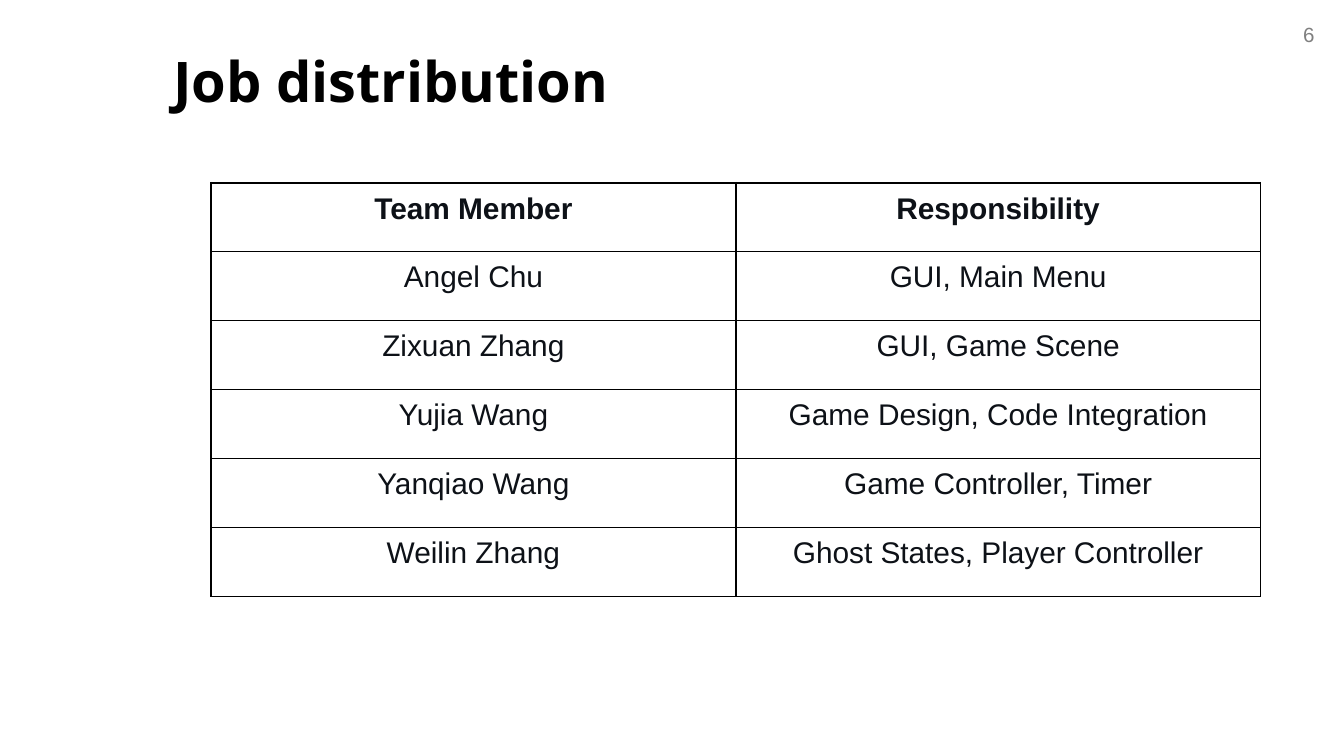
from typing import NamedTuple

from lxml.etree import SubElement
from pptx import Presentation
from pptx.dml.color import RGBColor
from pptx.enum.text import MSO_ANCHOR, PP_ALIGN
from pptx.oxml.ns import qn
from pptx.util import Inches, Pt

COLORS = {"black": "000000", "ink": "0D1117", "gray": "7F7F7F"}


class Style(NamedTuple):
    font: str
    size: float
    color: str
    bold: bool = False
    align: PP_ALIGN = PP_ALIGN.LEFT


class Label(NamedTuple):
    text: str
    left: float
    top: float
    width: float
    height: float
    margin_y: float
    style: Style


class Job(NamedTuple):
    member: str
    responsibility: str


LABELS = [
    Label("6", 9.33, 0.11, 0.55, 0.29, 0.05,
          Style("Arial", 11, "gray", align=PP_ALIGN.RIGHT)),
    Label("Job distribution", 1.19, 0.24, 5.71, 0.71, 0.1,
          Style("Open Sans", 30, "black", bold=True)),
]
JOBS = [
    Job("Team Member", "Responsibility"),
    Job("Angel Chu", "GUI, Main Menu"),
    Job("Zixuan Zhang", "GUI, Game Scene"),
    Job("Yujia Wang", "Game Design, Code Integration"),
    Job("Yanqiao Wang", "Game Controller, Timer"),
    Job("Weilin Zhang", "Ghost States, Player Controller"),
]
BODY = Style("Arial", 16, "ink", align=PP_ALIGN.CENTER)
HEADER = BODY._replace(bold=True)
TABLE_W, TABLE_H, CELL_MARGIN = 7.81, 3.08, 0.07


def set_text(tf, text: str, style: Style) -> None:
    tf.text = text
    p = tf.paragraphs[0]
    p.alignment = style.align
    for r in p.runs:
        r.font.name = style.font
        r.font.size = Pt(style.size)
        r.font.bold = style.bold
        r.font.color.rgb = RGBColor.from_string(COLORS[style.color])


def add_label(s, label: Label) -> None:
    box = s.shapes.add_textbox(Inches(label.left), Inches(label.top),
                               Inches(label.width), Inches(label.height))
    tf = box.text_frame
    tf.word_wrap = True
    tf.vertical_anchor = MSO_ANCHOR.MIDDLE
    tf.margin_left = tf.margin_right = Inches(0.1)
    tf.margin_top = tf.margin_bottom = Inches(label.margin_y)
    set_text(tf, label.text, label.style)


def add_borders(cell) -> None:
    tc_pr = cell._tc.get_or_add_tcPr()
    for side in ("lnL", "lnR", "lnT", "lnB"):
        ln = SubElement(tc_pr, qn(f"a:{side}"), w=str(Pt(1)))
        fill = SubElement(ln, qn("a:solidFill"))
        SubElement(fill, qn("a:srgbClr"), val=COLORS["black"])


def add_job_table(s, jobs: list[Job]) -> None:
    """Draw the jobs in equal rows and columns, the first row as header."""
    table = s.shapes.add_table(len(jobs), len(Job._fields),
                               Inches(1.57), Inches(1.36),
                               Inches(TABLE_W), Inches(TABLE_H)).table
    table.horz_banding = False
    table.first_row = False
    for i, (row, job) in enumerate(zip(table.rows, jobs)):
        for cell, text in zip(row.cells, job):
            cell.margin_left = cell.margin_right = Inches(CELL_MARGIN)
            cell.margin_top = cell.margin_bottom = Inches(CELL_MARGIN)
            add_borders(cell)
            cell.fill.background()
            set_text(cell.text_frame, text, BODY if i else HEADER)


def main() -> None:
    prs = Presentation()
    prs.slide_width = Inches(10)
    prs.slide_height = prs.slide_width * 9 // 16
    s = prs.slides.add_slide(prs.slide_layouts[6])
    for label in LABELS:
        add_label(s, label)
    add_job_table(s, JOBS)
    prs.save("out.pptx")


if __name__ == "__main__":
    main()
